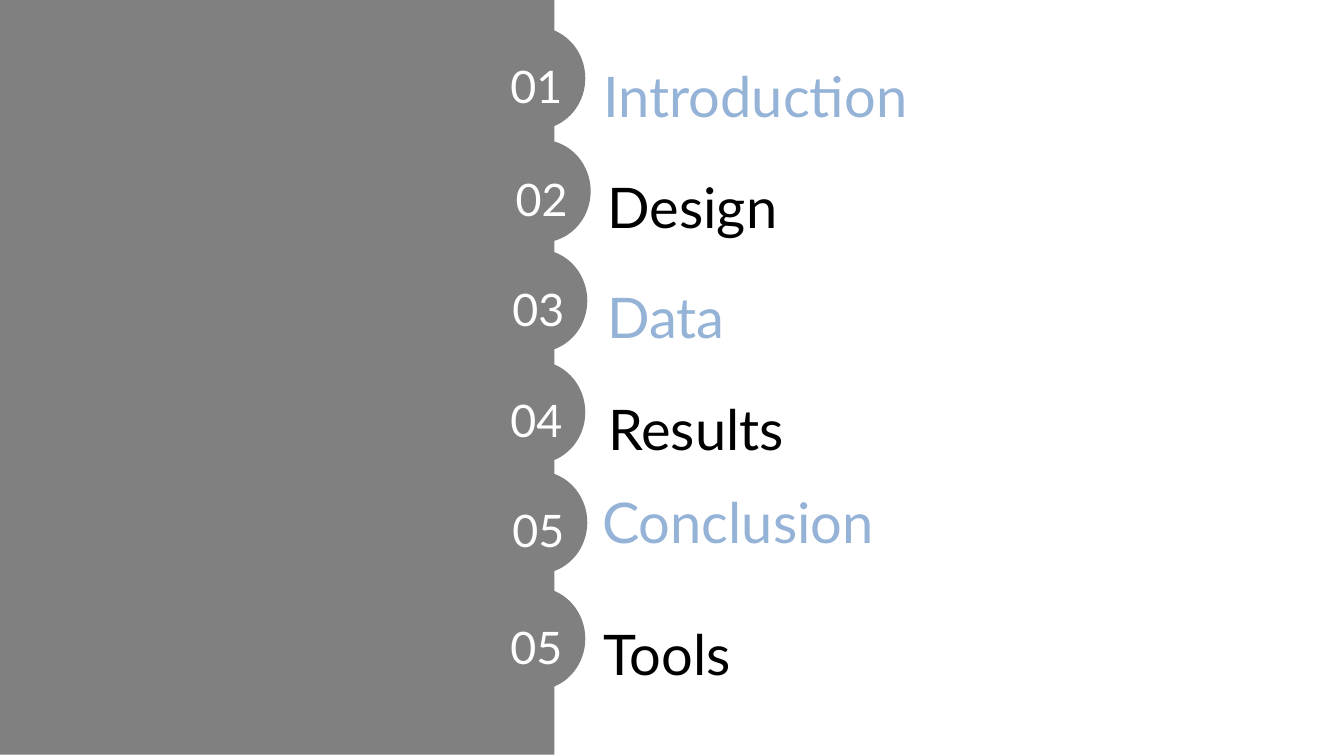
from dataclasses import dataclass

from pptx import Presentation
from pptx.dml.color import RGBColor
from pptx.enum.shapes import MSO_SHAPE
from pptx.enum.text import MSO_ANCHOR, MSO_AUTO_SIZE, PP_ALIGN
from pptx.shapes.autoshape import Shape
from pptx.shapes.shapetree import GroupShapes, SlideShapes
from pptx.util import Pt

RECTANGLE = MSO_SHAPE.RECTANGLE
OVAL = MSO_SHAPE.OVAL
LEFT = PP_ALIGN.LEFT
CENTER = PP_ALIGN.CENTER
TOP = MSO_ANCHOR.TOP
GROW = MSO_AUTO_SIZE.SHAPE_TO_FIT_TEXT

EMU_PER_PX = 9144
SLIDE_SIZE = (2000, 1125)
PANEL = (0, -2, 825, 1125)
BADGE_SIZE = (146, 153)
NUMBER_OFFSET = (24, 50)
NUMBER_SIZE = (98, 79)
TITLE_WIDTH = 1027


@dataclass(frozen=True)
class Theme:
    font: str = "Lato"
    gray: str = "808080"
    blue: str = "95B3D7"
    black: str = "000000"
    white: str = "FFFFFF"
    number_size: int = 48
    number_spacing: float = 56
    title_size: int = 60
    title_spacing: float = 99.6
    tight_spacing: float = 80


@dataclass(frozen=True)
class Chapter:
    number: str
    title: str
    badge_left: int
    badge_top: int
    title_left: int
    title_top: int
    title_height: int = 133
    title_spacing: float = Theme.title_spacing


THEME = Theme()
CHAPTERS = [
    Chapter("01", "Introduction", 725, 40, 898, 53),
    Chapter("02", "Design", 733, 208, 904, 218),
    Chapter("03", "Data", 728, 371, 904, 382),
    Chapter("04", "Results", 725, 537, 905, 548),
    Chapter("05", "Conclusion", 728, 701, 896, 714, 112, THEME.tight_spacing),
    Chapter("05", "Tools", 725, 874, 898, 884),
]


def px(value: int) -> int:
    return value * EMU_PER_PX


def add_block(shapes: SlideShapes | GroupShapes, kind: MSO_SHAPE,
              box: tuple[int, int, int, int]) -> Shape:
    shape = shapes.add_shape(kind, *map(px, box))
    shape.shadow.inherit = False
    shape.fill.solid()
    shape.fill.fore_color.rgb = RGBColor.from_string(THEME.gray)
    shape.line.fill.background()
    return shape


def write_text(shape: Shape, text: str, *, size: int, color: str,
               spacing: float, align: PP_ALIGN = LEFT) -> None:
    frame = shape.text_frame
    frame.margin_left = frame.margin_right = 0
    frame.margin_top = frame.margin_bottom = 0
    frame.word_wrap = True
    frame.auto_size = GROW
    frame.vertical_anchor = TOP
    paragraph = frame.paragraphs[0]
    paragraph.alignment = align
    paragraph.line_spacing = Pt(spacing)
    run = paragraph.add_run()
    run.text = text
    run.font.name = THEME.font
    run.font.size = Pt(size)
    run.font.color.rgb = RGBColor.from_string(color)


def add_chapter(shapes: SlideShapes, chapter: Chapter, title_color: str) -> None:
    badge = shapes.add_group_shape().shapes
    left, top = chapter.badge_left, chapter.badge_top
    add_block(badge, OVAL, (left, top, *BADGE_SIZE))
    number_box = (left + NUMBER_OFFSET[0], top + NUMBER_OFFSET[1], *NUMBER_SIZE)
    number = add_block(badge, RECTANGLE, number_box)
    write_text(number, chapter.number, size=THEME.number_size, color=THEME.white,
               spacing=THEME.number_spacing, align=CENTER)

    title_box = (chapter.title_left, chapter.title_top, TITLE_WIDTH, chapter.title_height)
    title = shapes.add_textbox(*map(px, title_box))
    write_text(title, chapter.title, size=THEME.title_size, color=title_color,
               spacing=chapter.title_spacing)


def main() -> None:
    presentation = Presentation()
    presentation.slide_width, presentation.slide_height = map(px, SLIDE_SIZE)
    slide = presentation.slides.add_slide(presentation.slide_layouts[6])
    add_block(slide.shapes, RECTANGLE, PANEL)
    for index, chapter in enumerate(CHAPTERS):
        title_color = THEME.black if index % 2 else THEME.blue
        add_chapter(slide.shapes, chapter, title_color)
    presentation.save("out.pptx")


if __name__ == "__main__":
    main()
